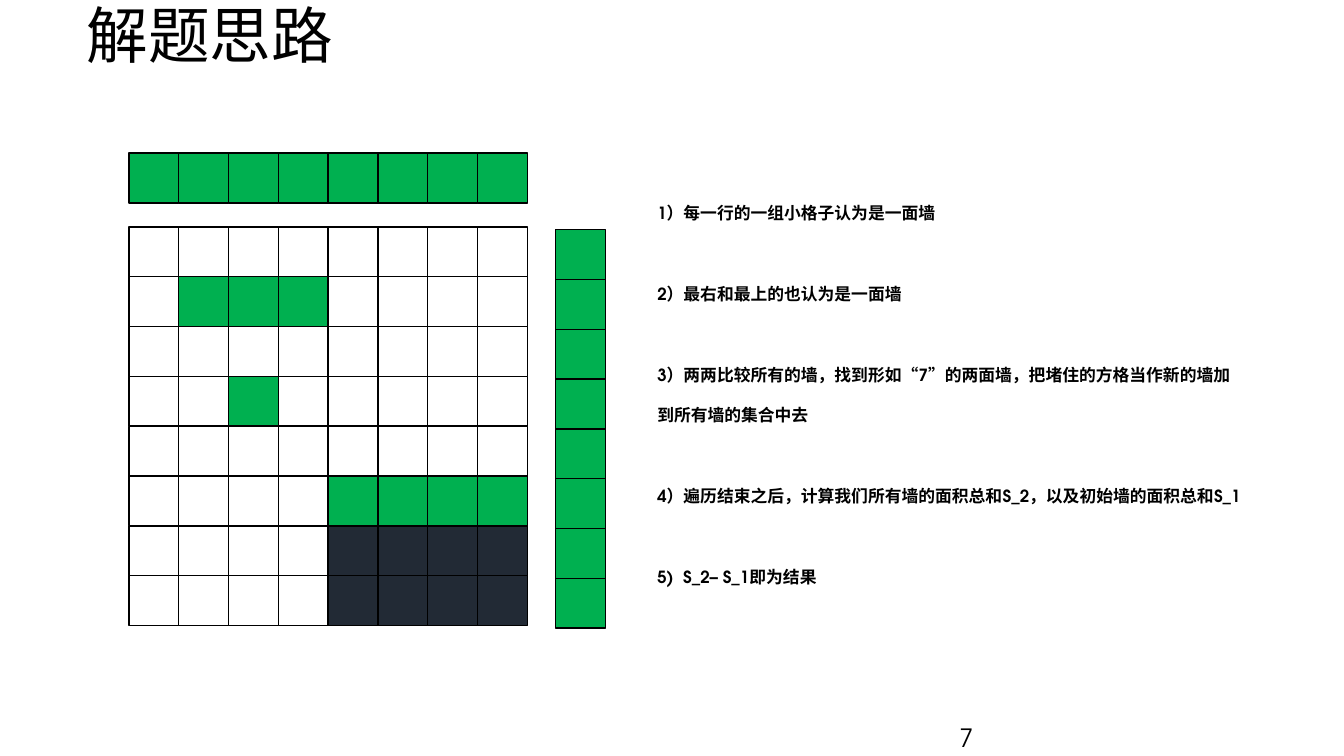
from dataclasses import dataclass

from pptx import Presentation
from pptx.dml.color import RGBColor
from pptx.enum import shapes, text
from pptx.oxml import ns, xmlchemy
from pptx.util import Cm, Pt

TITLE = "解题思路"
PAGE_NUMBER = "7"
STEPS = [
    "1）每一行的一组小格子认为是一面墙",
    "2）最右和最上的也认为是一面墙",
    "3）两两比较所有的墙，找到形如“7”的两面墙，把堵住的方格当作新的墙加到所有墙的集合中去",
    "4）遍历结束之后，计算我们所有墙的面积总和S_2，以及初始墙的面积总和S_1",
    "5)  S_2– S_1即为结果",
]
TOP_WALL = ["WWWWWWWW"]
RIGHT_WALL = ["W"] * 8
FIELD = [
    "........",
    ".WWW....",
    "........",
    "..W.....",
    "........",
    "....WWWW",
    "....BBBB",
    "....BBBB",
]
PANELS = [(FIELD, 3.25, 5.72), (RIGHT_WALL, 14, 5.79), (TOP_WALL, 3.25, 3.86)]
CELL = 10.04 / len(FIELD)


@dataclass(frozen=True)
class Theme:
    font: str = "TeX Gyre Adventor"
    ink: RGBColor = RGBColor(0, 0, 0)
    empty: RGBColor = RGBColor(0xFF, 0xFF, 0xFF)
    wall: RGBColor = RGBColor(0x00, 0xB0, 0x50)
    blocked: RGBColor = RGBColor(0x22, 0x2A, 0x35)
    title_size: Pt = Pt(44)
    number_size: Pt = Pt(18)
    step_size: Pt = Pt(12)
    step_gap: Pt = Pt(29)
    border: Pt = Pt(1)


THEME = Theme()
FILLS = {".": THEME.empty, "W": THEME.wall, "B": THEME.blocked}


def place(box, left, top, width, height):
    box.left, box.top = Cm(left), Cm(top)
    box.width, box.height = Cm(width), Cm(height)
    frame = box.text_frame
    frame.word_wrap = True
    frame.auto_size = text.MSO_AUTO_SIZE.NONE
    frame.vertical_anchor = text.MSO_ANCHOR.TOP
    return frame


def write(para, words, size, spacing=1.0, bold=False):
    para.alignment = text.PP_ALIGN.LEFT
    para.line_spacing = spacing
    span = para.add_run()
    span.text = words
    span.font.name = THEME.font
    span.font.size = size
    span.font.bold = bold
    span.font.color.rgb = THEME.ink


def write_steps(frame):
    for index, step in enumerate(STEPS):
        para = frame.add_paragraph() if index else frame.paragraphs[0]
        write(para, step, THEME.step_size, 2.0, True)
        para.space_before = THEME.step_gap if index else Pt(0)
        properties = para._p.get_or_add_pPr()
        properties.set("marL", "0")
        properties.set("indent", "0")
        properties.append(xmlchemy.OxmlElement("a:buNone"))


def draw_panel(page, rows, left, top):
    panel = page.shapes.add_group_shape()
    for row, marks in enumerate(rows):
        for column, mark in enumerate(marks):
            cell = panel.shapes.add_shape(
                shapes.MSO_SHAPE.RECTANGLE,
                Cm(left + column * CELL), Cm(top + row * CELL), Cm(CELL), Cm(CELL),
            )
            cell.shadow.inherit = False
            cell.fill.solid()
            cell.fill.fore_color.rgb = FILLS[mark]
            cell.line.color.rgb = THEME.ink
            cell.line.width = THEME.border


def main():
    """Build the slide that explains the wall-filling solution."""
    deck = Presentation()
    deck.slide_width, deck.slide_height = Cm(33.87), Cm(19.05)
    page = deck.slides.add_slide(deck.slide_layouts[1])
    title = place(page.shapes.title, 1.93, 0, 30, 2.82)
    write(title.paragraphs[0], TITLE, THEME.title_size, 0.9)
    number_box = page.shapes.add_textbox(0, 0, 0, 0)
    number = place(number_box, 23.93, 18.08, 8.03, 0.58)
    write(number.paragraphs[0], PAGE_NUMBER, THEME.number_size)
    write_steps(place(page.placeholders[1], 16.31, 4.47, 15.24, 10.41))
    for rows, left, top in PANELS:
        draw_panel(page, rows, left, top)
    deck.save("out.pptx")


if __name__ == "__main__":
    main()
